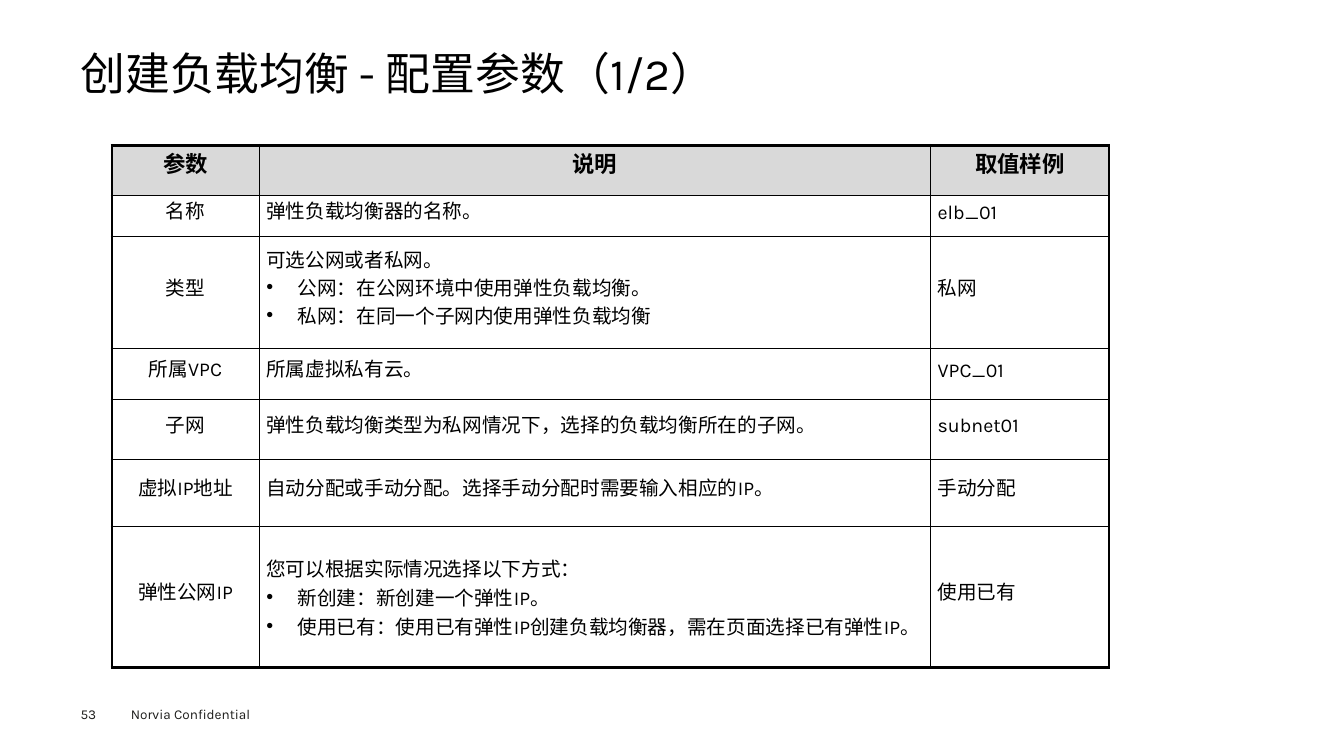
from typing import NamedTuple

from lxml import etree
from pptx import Presentation, util as u
from pptx.dml.color import RGBColor
from pptx.enum import text as t
from pptx.oxml import ns

BLACK = RGBColor(0x00, 0x00, 0x00)
FOOTER_GREY = RGBColor(0x1D, 0x1D, 0x1B)
HEADER_GREY = RGBColor(0xD9, 0xD9, 0xD9)
FONT = "Karla"
THIN, THICK = u.Pt(1), u.Pt(2.25)
BULLET_INDENT = u.Cm(0.79)
LEFT, CENTER = t.PP_ALIGN.LEFT, t.PP_ALIGN.CENTER


class Label(NamedTuple):
    text: str
    left: float
    top: float
    width: float
    height: float
    size: float
    color: RGBColor = FOOTER_GREY
    anchor: t.MSO_ANCHOR = t.MSO_ANCHOR.TOP
    line_spacing: float | None = None


class Parameter(NamedTuple):
    name: str
    description: str
    example: str
    height: float
    options: tuple[str, ...] = ()
    tight: bool = True


LABELS = [
    Label("创建负载均衡 - 配置参数（1/2）", 2.03, 1.24, 29.8, 1.37, 32, BLACK,
          t.MSO_ANCHOR.MIDDLE, 0.9),
    Label("53", 2.03, 17.78, 1.4, 0.41, 9.7),
    Label("Norvia Confidential", 3.3, 17.78, 4.06, 0.41, 9.7),
]

COLUMN_WIDTHS = (3.71, 16.92, 4.5)
PARAMETERS = [
    Parameter("参数", "说明", "取值样例", 1.27),
    Parameter("名称", "弹性负载均衡器的名称。", "elb_01", 1.02),
    Parameter("类型", "可选公网或者私网。", "私网", 2.84,
              ("公网：在公网环境中使用弹性负载均衡。",
               "私网：在同一个子网内使用弹性负载均衡")),
    Parameter("所属VPC", "所属虚拟私有云。", "VPC_01", 1.27),
    Parameter("子网", "弹性负载均衡类型为私网情况下，选择的负载均衡所在的子网。",
              "subnet01", 1.52),
    Parameter("虚拟IP地址", "自动分配或手动分配。选择手动分配时需要输入相应的IP。",
              "手动分配", 1.68),
    Parameter("弹性公网IP", "您可以根据实际情况选择以下方式：", "使用已有", 3.56,
              ("新创建：新创建一个弹性IP。",
               "使用已有：使用已有弹性IP创建负载均衡器，需在页面选择已有弹性IP。"),
              tight=False),
]


def add_bullet(paragraph) -> None:
    properties = paragraph._p.get_or_add_pPr()
    properties.set("marL", str(BULLET_INDENT))
    properties.set("indent", str(-BULLET_INDENT))
    etree.SubElement(properties, ns.qn("a:buFont")).set("typeface", "Arial")
    etree.SubElement(properties, ns.qn("a:buChar")).set("char", "•")


def write(frame, content: str, *, size: float, color: RGBColor = BLACK,
          bold: bool = False, align: t.PP_ALIGN = LEFT, bullet: bool = False,
          line_spacing=None, space=None) -> None:
    """Fill the frame's first paragraph, or append one if it has text."""
    is_first = not frame.text
    paragraph = frame.paragraphs[0] if is_first else frame.add_paragraph()
    if bullet:
        add_bullet(paragraph)
    paragraph.alignment = align
    paragraph.line_spacing = line_spacing
    paragraph.space_after = space
    if not is_first:
        paragraph.space_before = space
    run = paragraph.add_run()
    run.text = content
    run.font.name, run.font.size, run.font.bold = FONT, u.Pt(size), bold
    run.font.color.rgb = color


def add_label(slide, label: Label) -> None:
    box = slide.shapes.add_textbox(u.Cm(label.left), u.Cm(label.top),
                                   u.Cm(label.width), u.Cm(label.height))
    frame = box.text_frame
    frame.word_wrap = True
    frame.vertical_anchor = label.anchor
    frame.margin_left = frame.margin_right = 0
    frame.margin_top = frame.margin_bottom = 0
    write(frame, label.text, size=label.size, color=label.color,
          line_spacing=label.line_spacing)


def set_borders(cell, row: int, column: int) -> None:
    """Thick lines on the outer edge of the table, thin ones inside."""
    outer = {
        "L": column == 0,
        "R": column == len(COLUMN_WIDTHS) - 1,
        "T": row == 0,
        "B": row == len(PARAMETERS) - 1,
    }
    properties = cell._tc.get_or_add_tcPr()
    for side, is_outer in outer.items():
        line = etree.SubElement(properties, ns.qn(f"a:ln{side}"))
        line.set("w", str(THICK if is_outer else THIN))
        fill = etree.SubElement(line, ns.qn("a:solidFill"))
        etree.SubElement(fill, ns.qn("a:srgbClr")).set("val", str(BLACK))


def format_cell(cell, row: int, column: int) -> None:
    cell.vertical_anchor = t.MSO_ANCHOR.MIDDLE
    cell.margin_left = cell.margin_right = u.Cm(0.18)
    cell.margin_top = cell.margin_bottom = 0
    set_borders(cell, row, column)
    if row == 0:
        cell.fill.solid()
        cell.fill.fore_color.rgb = HEADER_GREY
    else:
        cell.fill.background()


def add_parameter_table(slide) -> None:
    heights = [parameter.height for parameter in PARAMETERS]
    table = slide.shapes.add_table(
        len(PARAMETERS), len(COLUMN_WIDTHS), u.Cm(2.82), u.Cm(3.66),
        u.Cm(sum(COLUMN_WIDTHS)), u.Cm(sum(heights))).table
    table.horz_banding = False
    for column, width in zip(table.columns, COLUMN_WIDTHS):
        column.width = u.Cm(width)
    for row, parameter in enumerate(PARAMETERS):
        table.rows[row].height = u.Cm(parameter.height)
        is_header = row == 0
        for column, content in enumerate(parameter[:3]):
            cell = table.cell(row, column)
            format_cell(cell, row, column)
            is_tight = parameter.tight or column != 1
            spacing = {"line_spacing": u.Pt(12), "space": u.Pt(4)} if is_tight else {}
            write(cell.text_frame, content, size=16 if is_header else 14,
                  bold=is_header, align=CENTER if is_header or column == 0 else LEFT,
                  **spacing)
            if column == 1:
                for option in parameter.options:
                    write(cell.text_frame, option, size=14, bullet=True, **spacing)


def main() -> None:
    presentation = Presentation()
    presentation.slide_width = u.Cm(33.87)
    presentation.slide_height = u.Cm(19.05)
    slide = presentation.slides.add_slide(presentation.slide_layouts[6])
    for label in LABELS:
        add_label(slide, label)
    add_parameter_table(slide)
    presentation.save("out.pptx")


if __name__ == "__main__":
    main()
